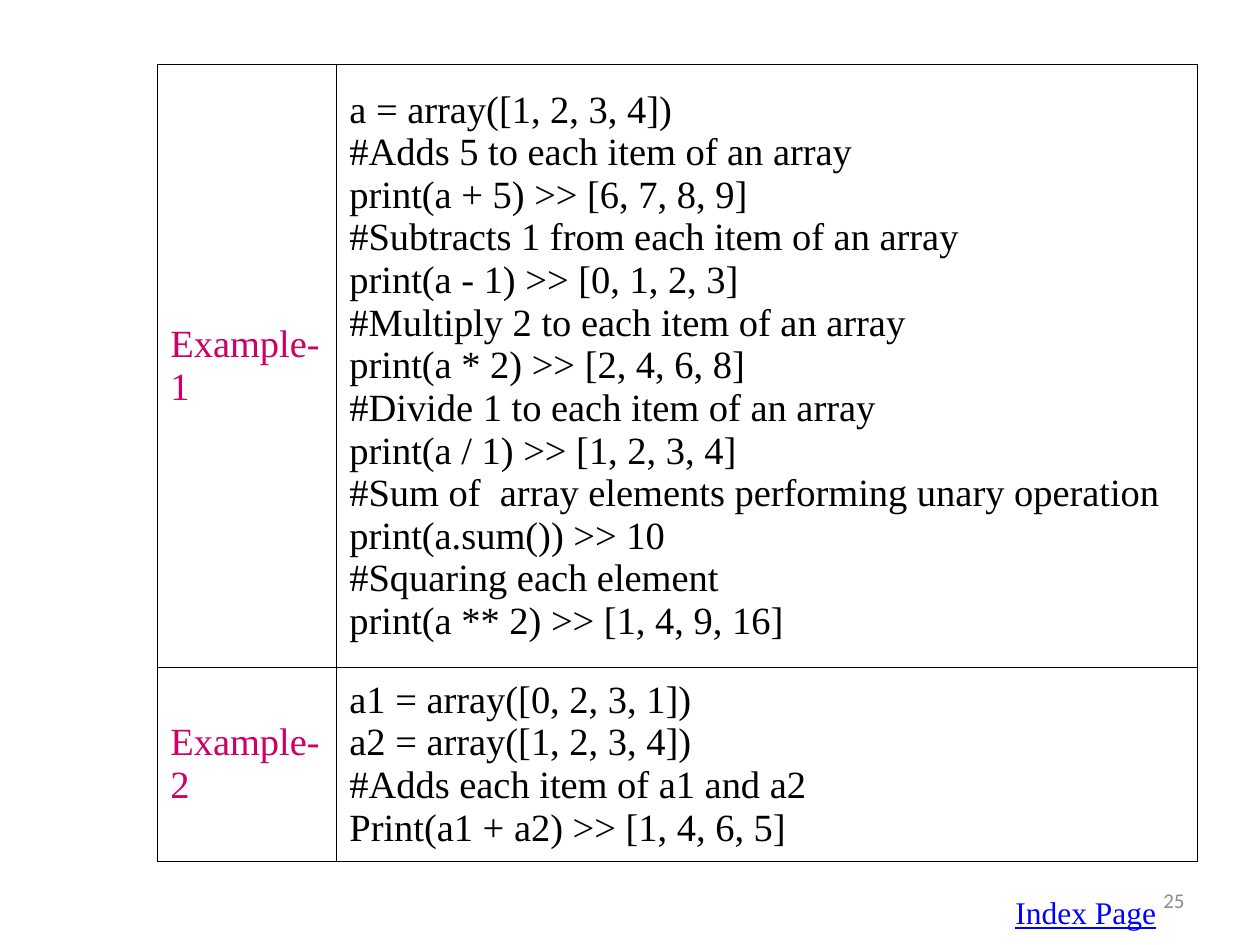
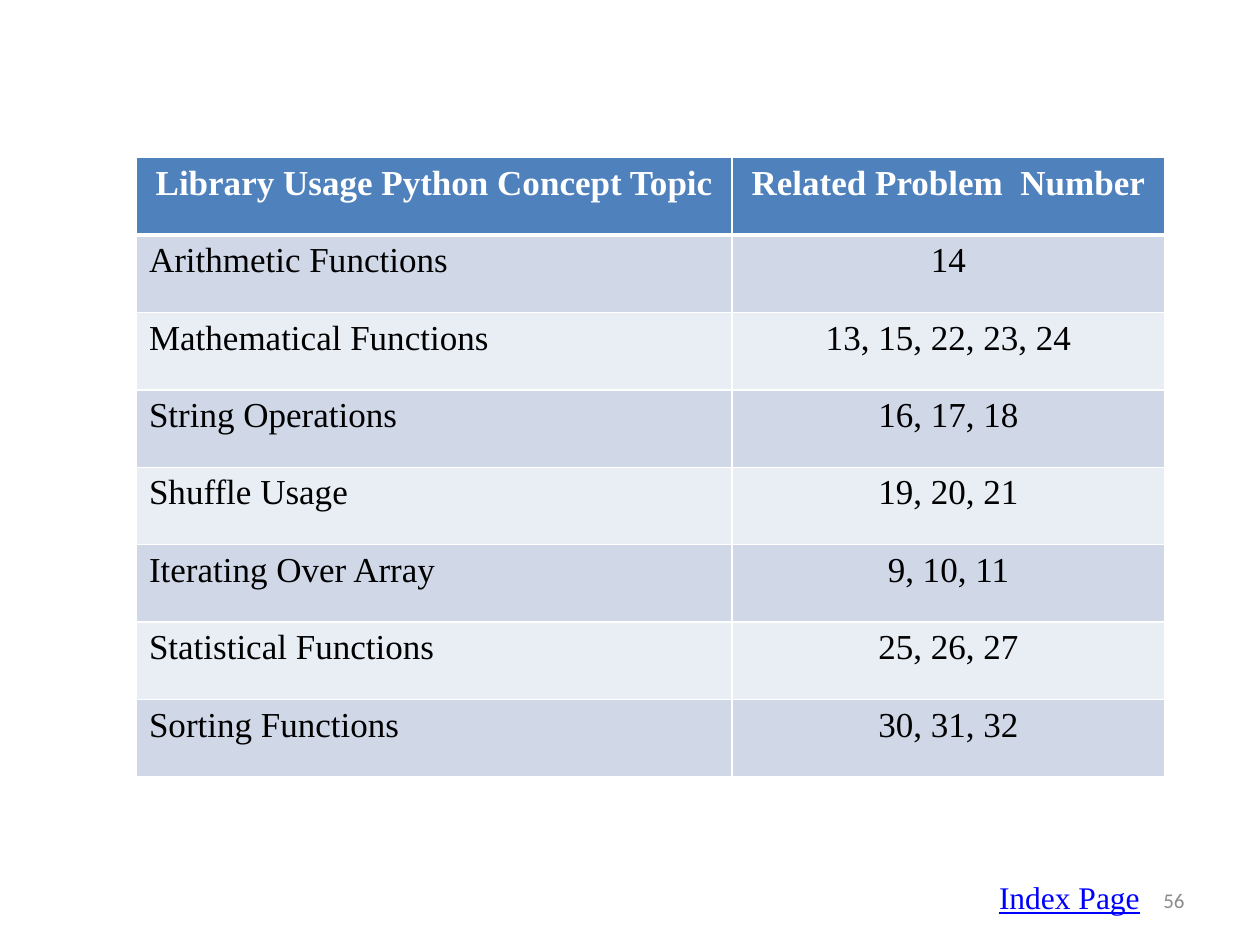
from dataclasses import dataclass

from lxml import etree
from pptx import Presentation
from pptx.dml.color import RGBColor
from pptx.enum.text import MSO_ANCHOR, MSO_AUTO_SIZE, PP_ALIGN
from pptx.oxml.ns import qn
from pptx.slide import Slide
from pptx.table import _Cell
from pptx.text.text import TextFrame
from pptx.util import Cm, Pt

LEFT, CENTER, RIGHT, JUSTIFY = PP_ALIGN.LEFT, PP_ALIGN.CENTER, PP_ALIGN.RIGHT, PP_ALIGN.JUSTIFY
TOP, MIDDLE = MSO_ANCHOR.TOP, MSO_ANCHOR.MIDDLE
FIT_SHAPE = MSO_AUTO_SIZE.SHAPE_TO_FIT_TEXT
BLANK_LAYOUT = 6


@dataclass(frozen=True)
class Theme:
    serif: str = "Times New Roman"
    sans: str = "Calibri"
    black: str = "000000"
    white: str = "FFFFFF"
    label: str = "CC0066"
    link: str = "0000FF"
    page_number: str = "8C8C8C"
    header: str = "4F81BD"
    bands: tuple[str, str] = ("D0D8E8", "E9EDF4")
    code_size: float = 22
    topic_size: float = 20
    link_size: float = 18
    number_size: float = 12
    thin_line: float = 0.5
    grid_line: float = 1
    header_line: float = 3


THEME = Theme()


@dataclass(frozen=True)
class TextStyle:
    size: float
    color: str
    font: str = THEME.serif
    bold: bool = False
    underline: bool = False
    align: PP_ALIGN = LEFT


@dataclass(frozen=True)
class Borders:
    color: str
    left: float
    right: float
    top: float
    bottom: float


@dataclass(frozen=True)
class CellSpec:
    lines: tuple[str, ...]
    style: TextStyle
    borders: Borders
    fill: str | None = None
    anchor: MSO_ANCHOR = TOP


@dataclass(frozen=True)
class TableSpec:
    left: float
    top: float
    columns: tuple[float, ...]
    rows: tuple[float, ...]
    cells: list[list[CellSpec]]


@dataclass(frozen=True)
class Footer:
    number: str
    link_left: float
    link_top: float


NUMBER_STYLE = TextStyle(THEME.number_size, THEME.page_number, THEME.sans, align=RIGHT)
LINK_STYLE = TextStyle(THEME.link_size, THEME.link, underline=True, align=JUSTIFY)
LABEL_STYLE = TextStyle(THEME.code_size, THEME.label)
CODE_STYLE = TextStyle(THEME.code_size, THEME.black)
HEADER_STYLE = TextStyle(THEME.topic_size, THEME.white, bold=True, align=CENTER)
TOPIC_STYLE = TextStyle(THEME.topic_size, THEME.black)
PROBLEM_STYLE = TextStyle(THEME.topic_size, THEME.black, align=CENTER)

EXAMPLES = (
    ("Example-1", (
        "a = array([1, 2, 3, 4])",
        "#Adds 5 to each item of an array",
        "print(a + 5) >> [6, 7, 8, 9]",
        "#Subtracts 1 from each item of an array",
        "print(a - 1) >> [0, 1, 2, 3]",
        "#Multiply 2 to each item of an array",
        "print(a * 2) >> [2, 4, 6, 8]",
        "#Divide 1 to each item of an array",
        "print(a / 1) >> [1, 2, 3, 4]",
        "#Sum of  array elements performing unary operation",
        "print(a.sum()) >> 10",
        "#Squaring each element",
        "print(a ** 2) >> [1, 4, 9, 16]",
    )),
    ("Example-2", (
        "a1 = array([0, 2, 3, 1])\na2 = array([1, 2, 3, 4])",
        "#Adds each item of a1 and a2",
        "Print(a1 + a2) >> [1, 4, 6, 5]",
    )),
)

TOPICS = (
    ("Library Usage Python Concept Topic", "Related Problem  Number"),
    ("Arithmetic Functions", "14"),
    ("Mathematical Functions", "13, 15, 22, 23, 24"),
    ("String Operations", "16, 17, 18"),
    ("Shuffle Usage", "19, 20, 21"),
    ("Iterating Over Array", "9, 10, 11"),
    ("Statistical Functions", "25, 26, 27"),
    ("Sorting Functions", "30, 31, 32"),
)


def write_text(frame: TextFrame, lines: tuple[str, ...], style: TextStyle) -> None:
    for index, line in enumerate(lines):
        para = frame.add_paragraph() if index else frame.paragraphs[0]
        para.alignment = style.align
        for part_index, part in enumerate(line.split("\n")):
            if part_index:
                para.add_line_break()
            span = para.add_run()
            span.text = part
            span.font.name = style.font
            span.font.size = Pt(style.size)
            span.font.bold = style.bold
            span.font.underline = style.underline
            span.font.color.rgb = RGBColor.from_string(style.color)


def draw_borders(cell: _Cell, borders: Borders) -> None:
    properties = cell._tc.get_or_add_tcPr()
    sides = (("a:lnL", borders.left), ("a:lnR", borders.right),
             ("a:lnT", borders.top), ("a:lnB", borders.bottom))
    for index, (tag, width) in enumerate(sides):
        line = etree.Element(qn(tag), w=str(int(Pt(width))))
        fill = etree.SubElement(line, qn("a:solidFill"))
        etree.SubElement(fill, qn("a:srgbClr"), val=borders.color)
        properties.insert(index, line)


def draw_cell(cell: _Cell, spec: CellSpec) -> None:
    cell.vertical_anchor = spec.anchor
    if spec.fill is None:
        cell.fill.background()
    else:
        cell.fill.solid()
        cell.fill.fore_color.rgb = RGBColor.from_string(spec.fill)
    draw_borders(cell, spec.borders)
    write_text(cell.text_frame, spec.lines, spec.style)


def draw_table(page: Slide, spec: TableSpec) -> None:
    table = page.shapes.add_table(
        len(spec.rows), len(spec.columns), Cm(spec.left), Cm(spec.top),
        Cm(sum(spec.columns)), Cm(sum(spec.rows))).table
    table.first_row = False
    table.horz_banding = False
    for column, width in zip(table.columns, spec.columns):
        column.width = Cm(width)
    for row, height, cells in zip(table.rows, spec.rows, spec.cells):
        row.height = Cm(height)
        for cell, cell_spec in zip(row.cells, cells):
            draw_cell(cell, cell_spec)


def draw_footer(page: Slide, footer: Footer) -> None:
    number_box = page.shapes.add_textbox(Cm(18.21), Cm(17.65), Cm(5.92), Cm(1.01))
    number_box.text_frame.word_wrap = True
    number_box.text_frame.vertical_anchor = MIDDLE
    write_text(number_box.text_frame, (footer.number,), NUMBER_STYLE)

    link_box = page.shapes.add_textbox(
        Cm(footer.link_left), Cm(footer.link_top), Cm(3.38), Cm(1.01))
    link_box.text_frame.word_wrap = False
    link_box.text_frame.auto_size = FIT_SHAPE
    write_text(link_box.text_frame, ("Index Page",), LINK_STYLE)


def example_table() -> TableSpec:
    thin = THEME.thin_line
    borders = Borders(THEME.black, thin, thin, thin, thin)
    cells = [
        [CellSpec((label,), LABEL_STYLE, borders, anchor=MIDDLE),
         CellSpec(code, CODE_STYLE, borders, anchor=MIDDLE)]
        for label, code in EXAMPLES
    ]
    return TableSpec(3.18, 1.3, (3.61, 17.35), (12.15, 3.91), cells)


def topic_table() -> TableSpec:
    grid, thick = THEME.grid_line, THEME.header_line
    cells = []
    for index, texts in enumerate(TOPICS):
        is_header = index == 0
        borders = Borders(THEME.white, grid, grid,
                          thick if index == 1 else grid,
                          thick if is_header else grid)
        fill = THEME.header if is_header else THEME.bands[(index - 1) % 2]
        styles = (HEADER_STYLE, HEADER_STYLE) if is_header else (TOPIC_STYLE, PROBLEM_STYLE)
        cells.append([CellSpec((text,), style, borders, fill)
                      for text, style in zip(texts, styles)])
    return TableSpec(2.75, 3.18, (12.01, 8.72), (1.56,) * len(TOPICS), cells)


def build_deck() -> None:
    deck = Presentation()
    deck.slide_width, deck.slide_height = Cm(25.4), Cm(19.05)
    pages = (
        (example_table(), Footer("25", 20.22, 17.88)),
        (topic_table(), Footer("56", 19.89, 17.58)),
    )
    for table, footer in pages:
        page = deck.slides.add_slide(deck.slide_layouts[BLANK_LAYOUT])
        draw_table(page, table)
        draw_footer(page, footer)
    deck.save("out.pptx")


build_deck()
